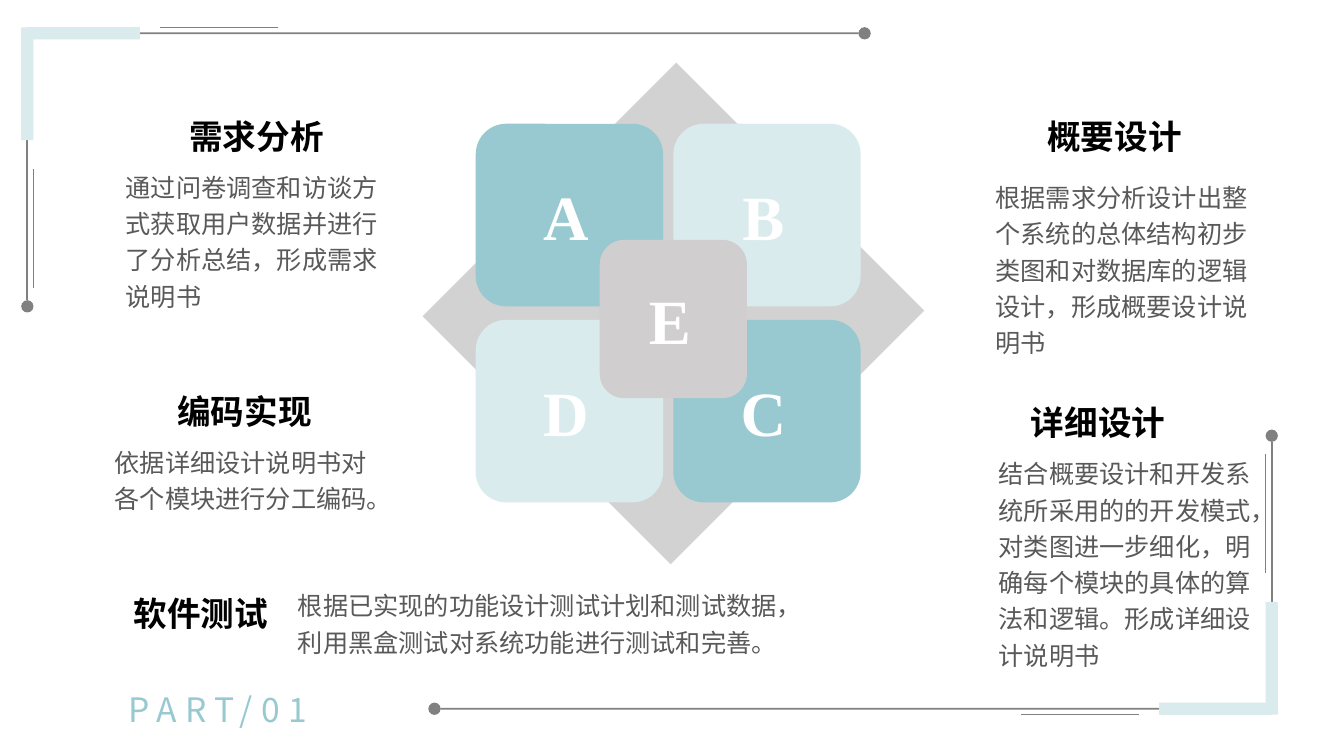
from lxml.etree import SubElement
from pptx import Presentation
from pptx.dml.color import RGBColor
from pptx.enum.shapes import MSO_CONNECTOR, MSO_SHAPE
from pptx.enum.text import MSO_ANCHOR, MSO_AUTO_SIZE, PP_ALIGN
from pptx.oxml.ns import qn
from pptx.util import Cm, Pt

COLORS = {
    "teal": "98C9D0", "pale": "DAEBEE", "line": "808080", "diamond": "A6A6A6",
    "center": "D0CECE", "white": "FFFFFF", "title": "000000", "body": "595959",
}
SANS = "Noto Sans CJK SC"
SERIF = "Times New Roman"

deck = Presentation()
deck.slide_width, deck.slide_height = Cm(33.87), Cm(19.05)
page = deck.slides.add_slide(deck.slide_layouts[6])


def add_block(kind, center_x, center_y, width, height, color):
    block = page.shapes.add_shape(kind, Cm(center_x - width / 2), Cm(center_y - height / 2),
                                  Cm(width), Cm(height))
    block.shadow.inherit = False
    block.fill.solid()
    block.fill.fore_color.rgb = RGBColor.from_string(COLORS[color])
    block.line.fill.background()
    return block


def add_text(text, left, top, width, height, size, color, font=SANS, bold=False,
             align=PP_ALIGN.LEFT, anchor=MSO_ANCHOR.TOP):
    box = page.shapes.add_textbox(Cm(left), Cm(top), Cm(width), Cm(height))
    frame = box.text_frame
    frame.word_wrap = True
    frame.vertical_anchor = anchor
    para = frame.paragraphs[0]
    para.alignment = align
    span = para.add_run()
    span.text = text
    span.font.size = Pt(size)
    span.font.bold = bold
    span.font.color.rgb = RGBColor.from_string(COLORS[color])
    span.font.name = font
    SubElement(span.font._element, qn("a:ea")).set("typeface", font)
    return frame


# Corner frames: the lower right one is the upper left one turned by 180 degrees
FRAME_LINES = [
    (21.64, 0.84, 0.69, 0.84, 1.25), (0.69, 0.84, 0.69, 7.57, 1.25),
    (7.01, 0.69, 4.04, 0.69, 0.5), (0.84, 4.27, 0.84, 7.26, 0.5),
]
FRAME_DOTS = [(21.79, 0.84), (0.69, 7.72)]
FRAME_BARS = [(2.11, 0.84, 2.84, 0.31), (0.69, 2.11, 0.31, 2.84)]

for sign, shift_x, shift_y, outer_side in [(1, 0, 0, 1), (-1, 32.74, 18.7, 3)]:
    lines = []
    for x1, y1, x2, y2, weight in FRAME_LINES:
        line = page.shapes.add_connector(
            MSO_CONNECTOR.STRAIGHT, Cm(shift_x + sign * x1), Cm(shift_y + sign * y1),
            Cm(shift_x + sign * x2), Cm(shift_y + sign * y2))
        line.line.color.rgb = RGBColor.from_string(COLORS["line"])
        line.line.width = Pt(weight)
        SubElement(line._element.spPr, qn("a:effectLst"))
        lines.append(line)
    for x, y in FRAME_DOTS:
        add_block(MSO_SHAPE.OVAL, shift_x + sign * x, shift_y + sign * y, 0.31, 0.31, "line")
    bars = [add_block(MSO_SHAPE.RECTANGLE, shift_x + sign * x, shift_y + sign * y,
                      width, height, "pale")
            for x, y, width, height in FRAME_BARS]
    lines[0].end_connect(bars[0], outer_side)

# Section label
label = add_text("PART/01", 0.69, 16.69, 9.6, 2.34, 24, "teal",
                 align=PP_ALIGN.CENTER, anchor=MSO_ANCHOR.MIDDLE)
label.paragraphs[0].runs[0].font._element.set("spc", "600")

# Half-transparent diamond behind the tiles
diamond = add_block(MSO_SHAPE.RECTANGLE, 16.97, 7.9, 8.84, 9.04, "diamond")
diamond.rotation = 45
diamond_color = diamond._element.spPr.find(qn("a:solidFill")).find(qn("a:srgbClr"))
SubElement(diamond_color, qn("a:alpha")).set("val", "50000")

# Lettered tiles, the middle one on top
TILES = [
    ("A", 14.35, 5.42, 4.72, 4.6, "teal"),
    ("B", 19.33, 5.42, 4.72, 4.6, "pale"),
    ("D", 14.35, 10.36, 4.72, 4.6, "pale"),
    ("C", 19.33, 10.36, 4.72, 4.6, "teal"),
    ("E", 16.97, 8.04, 3.71, 3.99, "center"),
]
for letter, x, y, width, height, color in TILES:
    add_block(MSO_SHAPE.ROUNDED_RECTANGLE, x, y, width, height, color)
    frame = add_text(letter, x - 0.98, y - 0.65, 1.96, 1.3, 45, "white", SERIF, True,
                     PP_ALIGN.CENTER, MSO_ANCHOR.MIDDLE)
    frame.margin_left = frame.margin_top = frame.margin_bottom = 0
    frame.margin_right = Cm(0.18)

# Topics: title, its left and top, then text, its left, top, width and height
TOPICS = [
    ("需求分析", 2.64, 2.51,
     "通过问卷调查和访谈方式获取用户数据并进行了分析总结，形成需求说明书",
     2.92, 4.06, 7.06, 3.96),
    ("编码实现", 2.34, 9.45,
     "依据详细设计说明书对各个模块进行分工编码。",
     2.64, 11, 7.06, 2.11),
    ("概要设计", 24.26, 2.51,
     "根据需求分析设计出整个系统的总体结构初步类图和对数据库的逻辑设计，形成概要设计说明书",
     24.84, 4.32, 7.06, 4.88),
    ("详细设计", 23.85, 9.73,
     "结合概要设计和开发系统所采用的的开发模式，对类图进一步细化，明确每个模块的具体的算法和逻辑。形成详细设计说明书",
     24.92, 11.28, 7.06, 5.79),
    ("软件测试", 1.24, 14.53,
     "根据已实现的功能设计测试计划和测试数据，利用黑盒测试对系统功能进行测试和完善。",
     7.26, 14.61, 12.75, 2.11),
]
for title, title_left, title_top, text, left, top, width, height in TOPICS:
    heading = add_text(title, title_left, title_top, 7.65, 2.26, 24, "title", bold=True,
                       align=PP_ALIGN.CENTER)
    heading.margin_left = heading.margin_right = Cm(0.41)
    heading.margin_top = heading.margin_bottom = Cm(0.2)
    heading.paragraphs[0].space_before = Pt(4.8)
    body = add_text(text, left, top, width, height, 18, "body")
    for frame in (heading, body):
        frame.auto_size = MSO_AUTO_SIZE.SHAPE_TO_FIT_TEXT
        frame.paragraphs[0].line_spacing = 1.2

deck.save("out.pptx")
